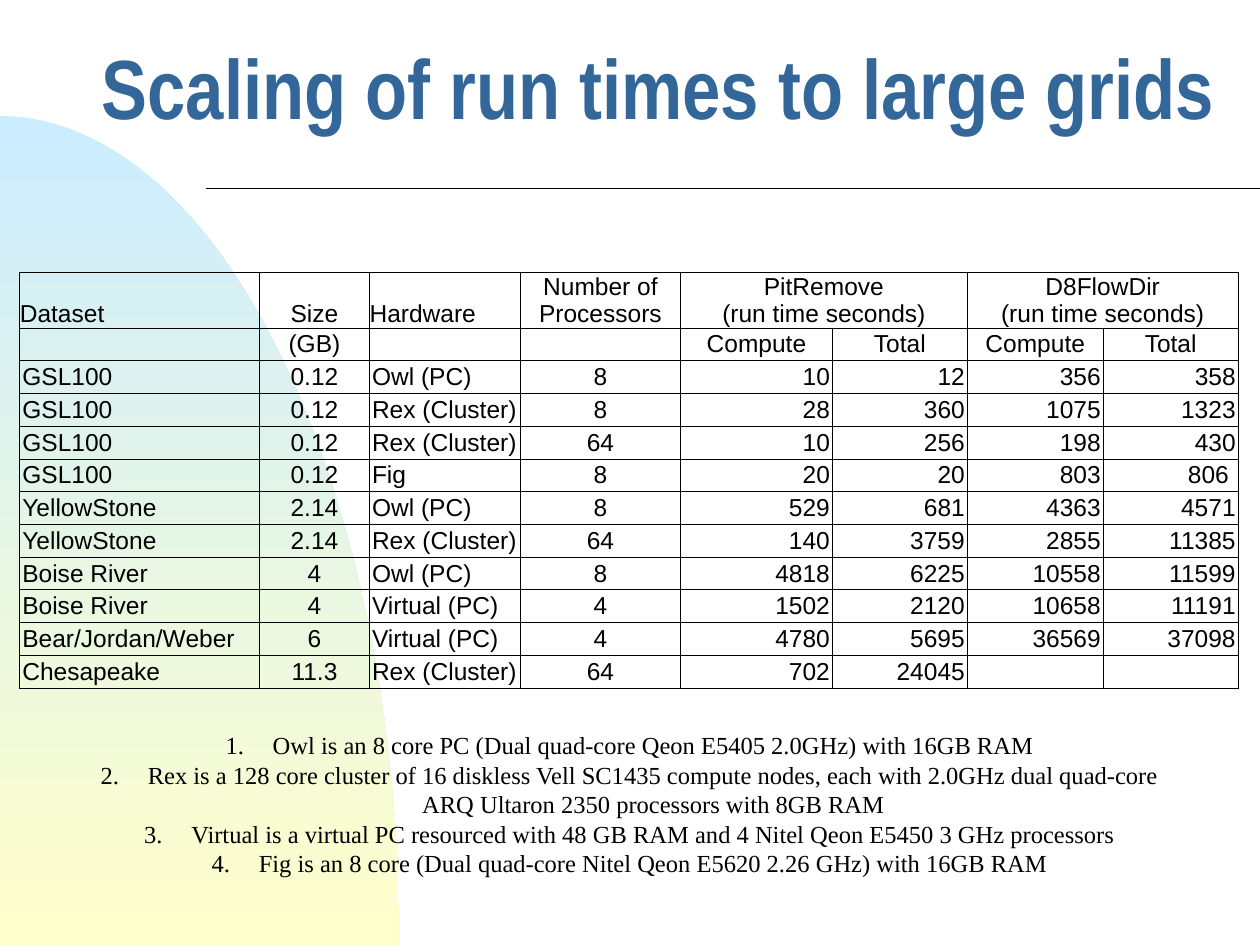
"""Build a slide with a table of run times on large grids."""
import math
from dataclasses import dataclass

import pptx
import pptx.dml.color
import pptx.enum.shapes
import pptx.enum.text
import pptx.oxml.ns
import pptx.util
from lxml import etree

Cm = pptx.util.Cm
Pt = pptx.util.Pt
qn = pptx.oxml.ns.qn
ALIGN = pptx.enum.text.PP_ALIGN
ANCHOR = pptx.enum.text.MSO_ANCHOR


@dataclass(frozen=True)
class Theme:
    black: str = "000000"
    ink: str = "010000"
    blue: str = "336699"
    sky: str = "CCECFF"
    cream: str = "FFFFCC"
    head: int = 48
    body: int = 14
    rule: float = 1
    grid: float = 0.5


THEME = Theme()
WIDE, HIGH = 25.4, 19.05
WIDTHS = [4.83, 2.22, 3.04, 3.23, 3.06, 2.72, 2.74, 2.72]
TALL, LOW = 1.1, 0.66
SIDES = [ALIGN.LEFT, ALIGN.CENTER, ALIGN.LEFT, ALIGN.CENTER] + [ALIGN.RIGHT] * 4
ROWS = [
    ["Dataset", "Size", "Hardware", "Number of Processors",
     "PitRemove\v(run time seconds)", "", "D8FlowDir\v(run time seconds)", ""],
    ["", "(GB)", "", "", "Compute", "Total", "Compute", "Total"],
    ["GSL100", "0.12", "Owl (PC)", "8", "10", "12", "356", "358"],
    ["GSL100", "0.12", "Rex (Cluster)", "8", "28", "360", "1075", "1323"],
    ["GSL100", "0.12", "Rex (Cluster)", "64", "10", "256", "198", "430"],
    ["GSL100", "0.12", "Fig", "8", "20", "20", "803", "806 "],
    ["YellowStone", "2.14", "Owl (PC)", "8", "529", "681", "4363", "4571"],
    ["YellowStone", "2.14", "Rex (Cluster)", "64", "140", "3759", "2855", "11385"],
    ["Boise River", "4", "Owl (PC)", "8", "4818", "6225", "10558", "11599"],
    ["Boise River", "4", "Virtual (PC)", "4", "1502", "2120", "10658", "11191"],
    ["Bear/Jordan/Weber", "6", "Virtual (PC)", "4", "4780", "5695", "36569", "37098"],
    ["Chesapeake", "11.3", "Rex (Cluster)", "64", "702", "24045", "", ""],
]
NOTES = [
    "Owl is an 8 core PC (Dual quad-core Qeon E5405 2.0GHz) with 16GB RAM",
    "Rex is a 128 core cluster of 16 diskless Vell SC1435 compute nodes, each with "
    "2.0GHz dual quad-core ARQ Ultaron 2350 processors with 8GB RAM",
    "Virtual is a virtual PC resourced with 48 GB RAM and 4 Nitel Qeon E5450 3 GHz processors",
    "Fig is an 8 core (Dual quad-core Nitel Qeon E5620 2.26 GHz) with 16GB RAM",
]


def tint(code):
    return pptx.dml.color.RGBColor.from_string(code)


def apply(item, **values):
    for name, value in values.items():
        setattr(item, name, value)


def style(para, size, face, code, bold=False):
    for run in para.runs:
        apply(run.font, size=Pt(size), name=face, bold=bold)
        run.font.color.rgb = tint(code)
    for gap in para._p.findall(qn("a:br")):
        etree.SubElement(gap, qn("a:rPr"), sz=str(size * 100))
    etree.SubElement(para._p, qn("a:endParaRPr"), sz=str(size * 100))


def add_curve(slide):
    wide, high = 8.05, 16.71
    turns = [math.pi / 2 * step / 90 for step in range(91)]
    points = [(Cm(wide * math.sin(turn)), Cm(HIGH - high * math.cos(turn)))
              for turn in turns]
    path = slide.shapes.build_freeform(*points[0])
    path.add_line_segments(points[1:] + [(0, Cm(HIGH))])
    shape = path.convert_to_shape()
    shape.shadow.inherit = False
    shape.line.fill.background()
    shape.fill.gradient()
    shape.fill.gradient_angle = 270
    for stop, code, place in zip(shape.fill.gradient_stops,
                                 (THEME.sky, THEME.cream), (0, 1)):
        stop.color.rgb = tint(code)
        stop.position = place


def add_rule(slide):
    kind = pptx.enum.shapes.MSO_CONNECTOR.STRAIGHT
    rule = slide.shapes.add_connector(kind, Cm(4.15), Cm(3.8), Cm(WIDE), Cm(3.8))
    rule.line.width = Pt(THEME.rule)
    rule.line.color.rgb = tint(THEME.ink)
    etree.SubElement(rule._element.spPr, qn("a:effectLst"))


def add_title(slide):
    frame = slide.shapes.add_textbox(Cm(1.8), Cm(0.4), Cm(22.96), Cm(3.18)).text_frame
    apply(frame, word_wrap=True, vertical_anchor=ANCHOR.MIDDLE, margin_right=0,
          text="Scaling of run times to large grids")
    para = frame.paragraphs[0]
    para.line_spacing = 0.7
    style(para, THEME.head, "Arial Narrow", THEME.blue, True)


def add_edges(cell):
    props = cell._tc.get_or_add_tcPr()
    for place, side in enumerate(("lnL", "lnR", "lnT", "lnB")):
        edge = etree.Element(qn("a:" + side), w=str(Pt(THEME.grid)))
        fill = etree.SubElement(edge, qn("a:solidFill"))
        etree.SubElement(fill, qn("a:srgbClr"), val=THEME.black)
        props.insert(place, edge)


def fill_cell(cell, text, side, top):
    pad = 0 if top else Cm(0.05)
    apply(cell, text=text, margin_left=pad, margin_right=pad, margin_top=0,
          margin_bottom=0, vertical_anchor=ANCHOR.BOTTOM if top else ANCHOR.MIDDLE)
    para = cell.text_frame.paragraphs[0]
    para.alignment = side
    style(para, THEME.body, "Arial", THEME.black)
    cell.fill.background()
    add_edges(cell)


def add_grid(slide):
    high = TALL + LOW * (len(ROWS) - 1)
    table = slide.shapes.add_table(len(ROWS), len(WIDTHS), Cm(0.4), Cm(5.5),
                                   Cm(sum(WIDTHS)), Cm(high)).table
    apply(table, first_row=False, horz_banding=False)
    for column, width in zip(table.columns, WIDTHS):
        column.width = Cm(width)
    for at, texts in enumerate(ROWS):
        table.rows[at].height = Cm(LOW if at else TALL)
        for spot, text in enumerate(texts):
            side = ALIGN.CENTER if at < 2 and spot > 3 else SIDES[spot]
            fill_cell(table.cell(at, spot), text, side, at == 0)
    for start in (4, 6):
        table.cell(0, start).merge(table.cell(0, start + 1))


def add_notes(slide):
    frame = slide.shapes.add_textbox(Cm(1.27), Cm(14.6), Cm(22.86), Cm(3.25)).text_frame
    apply(frame, word_wrap=True, text="\n".join(NOTES))
    for para in frame.paragraphs:
        para.alignment = ALIGN.CENTER
        props = para._p.get_or_add_pPr()
        props.set("marL", str(Cm(0.95)))
        props.set("indent", str(Cm(-0.95)))
        etree.SubElement(props, qn("a:buFontTx"))
        etree.SubElement(props, qn("a:buAutoNum"), type="arabicPeriod")
        style(para, THEME.body, "Times New Roman", THEME.ink)


def main():
    deck = pptx.Presentation()
    apply(deck, slide_width=Cm(WIDE), slide_height=Cm(HIGH))
    slide = deck.slides.add_slide(deck.slide_layouts[6])
    for draw in (add_curve, add_rule, add_grid, add_notes, add_title):
        draw(slide)
    deck.save("out.pptx")


if __name__ == "__main__":
    main()
